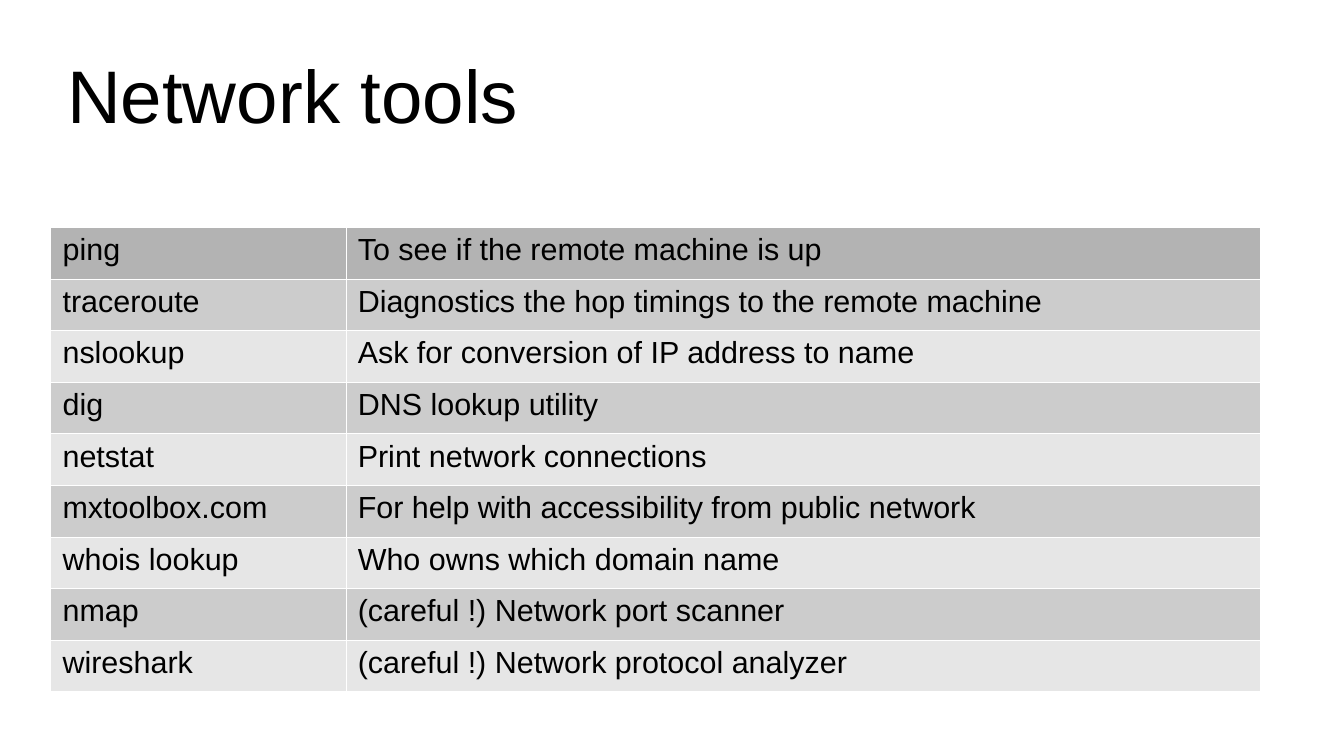
"""Build a slide that lists network tools in a two-column table."""
from lxml.etree import SubElement
from pptx import Presentation
from pptx.dml.color import RGBColor
from pptx.enum.text import MSO_ANCHOR as Anchor
from pptx.oxml.ns import qn
from pptx.util import Cm, Pt

TITLE = "Network tools"
TOOLS = [
    ("ping", "To see if the remote machine is up"),
    ("traceroute", "Diagnostics the hop timings to the remote machine"),
    ("nslookup", "Ask for conversion of IP address to name"),
    ("dig", "DNS lookup utility"),
    ("netstat", "Print network connections"),
    ("mxtoolbox.com", "For help with accessibility from public network"),
    ("whois lookup", "Who owns which domain name"),
    ("nmap", "(careful !) Network port scanner"),
    ("wireshark", "(careful !) Network protocol analyzer"),
]
FONT, INK, BORDER = "Arial", "000000", "FFFFFF"
HEADER, BANDS = "B3B3B3", ("E6E6E6", "CCCCCC")
COLUMN_WIDTHS = (6.15, 19.05)
TABLE_LEFT, TABLE_TOP, TABLE_HEIGHT = 1.05, 4.73, 9.68


def color(code):
    return RGBColor.from_string(code)


def write(frame, text, size):
    span = frame.paragraphs[0].add_run()
    span.text = text
    span.font.name = FONT
    span.font.size = Pt(size)
    span.font.bold = False
    span.font.color.rgb = color(INK)


def add_borders(cell):
    properties = cell._tc.get_or_add_tcPr()
    for side in ("lnL", "lnR", "lnT", "lnB"):
        line = SubElement(properties, qn(f"a:{side}"), w=str(Pt(0.06)))
        fill = SubElement(line, qn("a:solidFill"))
        SubElement(fill, qn("a:srgbClr"), val=BORDER)


def add_title(page):
    box = page.shapes.add_textbox(Cm(1.4), Cm(0.63), Cm(25.2), Cm(2.63))
    frame = box.text_frame
    frame.word_wrap = True
    frame.vertical_anchor = Anchor.MIDDLE
    frame.margin_left = frame.margin_right = Cm(0)
    frame.margin_top = frame.margin_bottom = Cm(0)
    write(frame, TITLE, 44)


def add_tools(page):
    table = page.shapes.add_table(
        len(TOOLS), len(COLUMN_WIDTHS), Cm(TABLE_LEFT), Cm(TABLE_TOP),
        Cm(sum(COLUMN_WIDTHS)), Cm(TABLE_HEIGHT)).table
    for column, width in zip(table.columns, COLUMN_WIDTHS):
        column.width = Cm(width)
    for row, tool in enumerate(TOOLS):
        for column, text in enumerate(tool):
            cell = table.cell(row, column)
            add_borders(cell)
            cell.fill.solid()
            cell.fill.fore_color.rgb = color(BANDS[row % 2] if row else HEADER)
            write(cell.text_frame, text, 18)


def main():
    deck = Presentation()
    deck.slide_width, deck.slide_height = Cm(28), Cm(15.75)
    page = deck.slides.add_slide(deck.slide_layouts[6])
    add_title(page)
    add_tools(page)
    deck.save("out.pptx")


if __name__ == "__main__":
    main()
